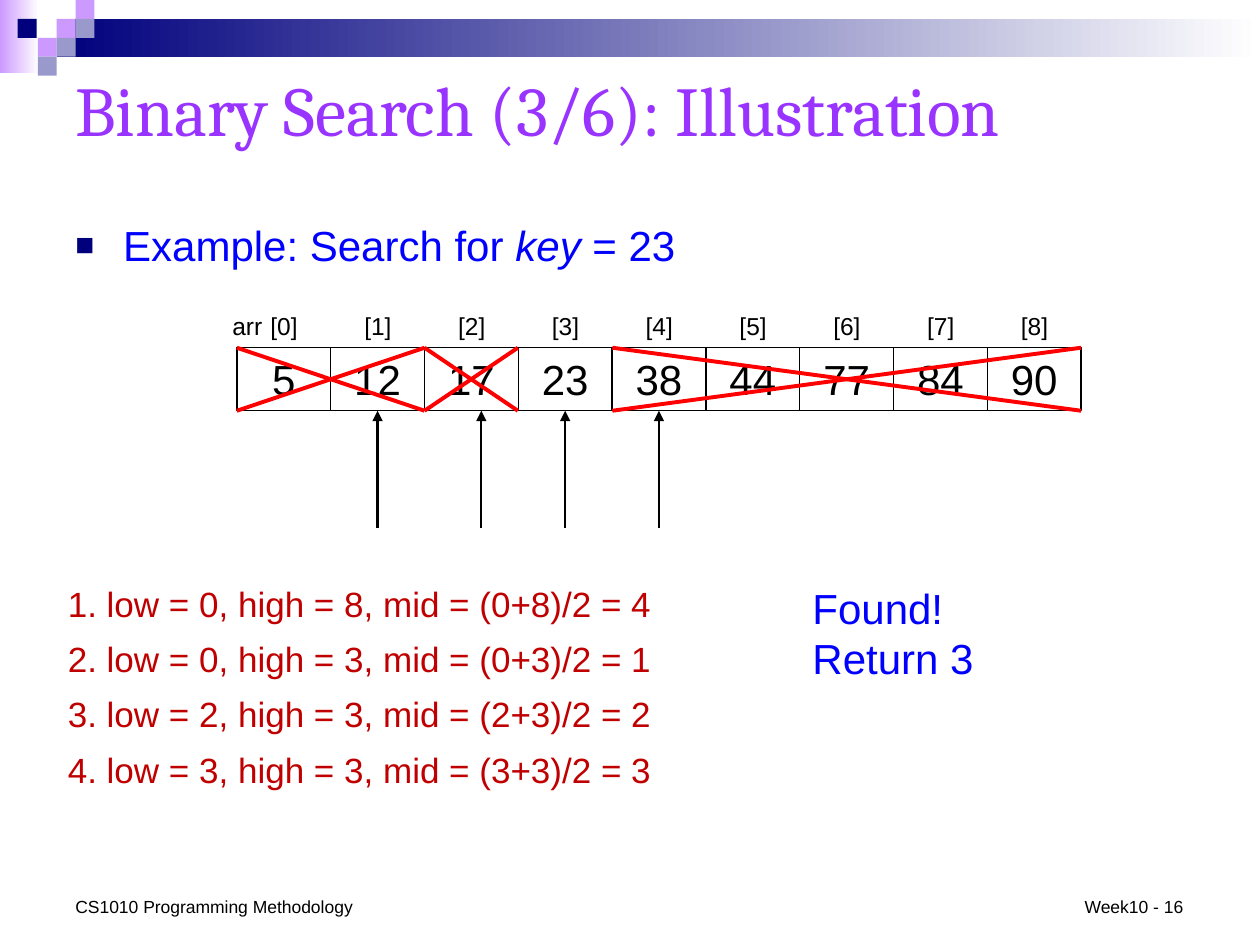
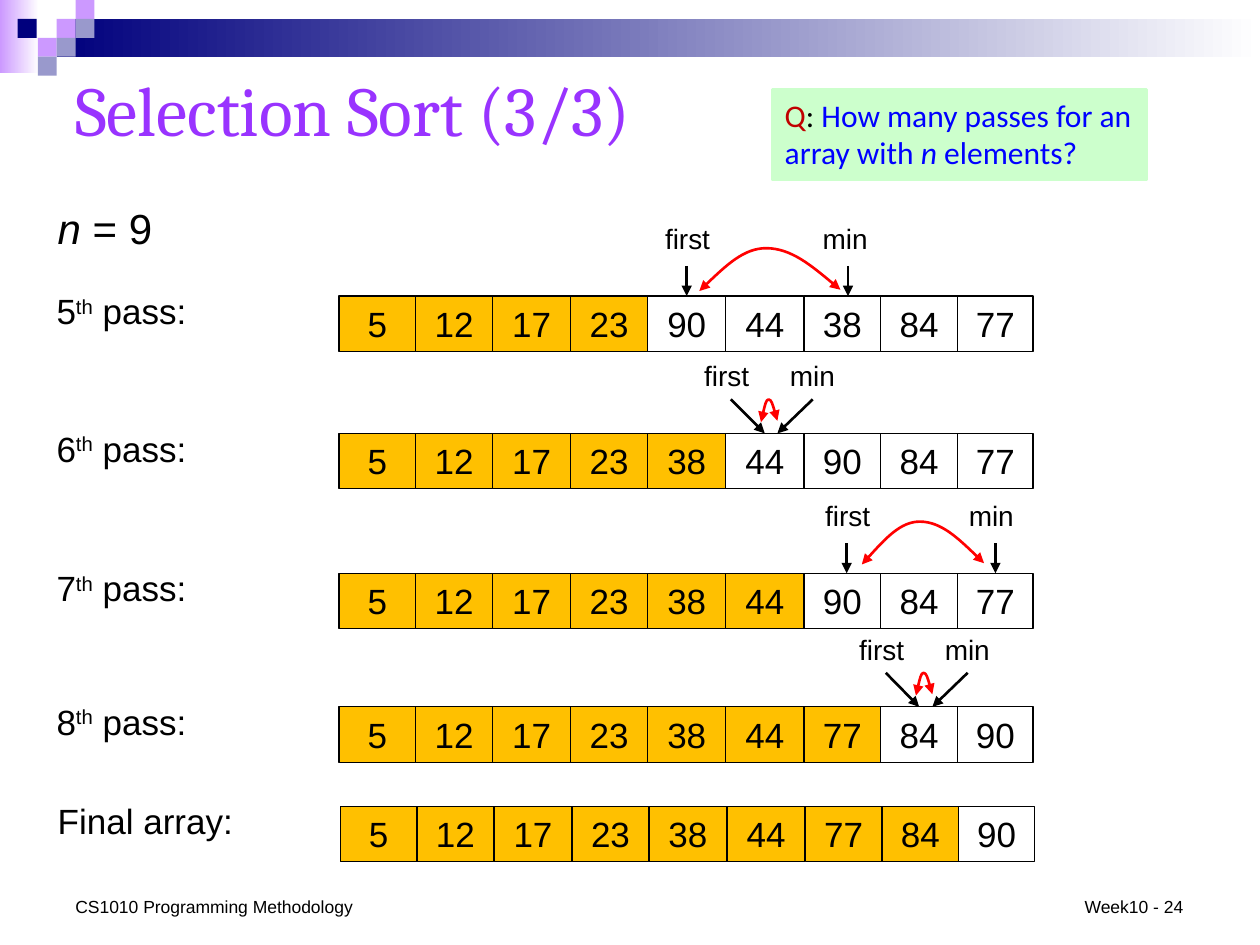
import itertools
import pptx
import pptx.dml.color
import pptx.enum.shapes
import pptx.enum.text
import pptx.oxml
import pptx.oxml.ns
import pptx.util

Inches = pptx.util.Inches
Pt = pptx.util.Pt
KINDS = pptx.enum.shapes
ALIGN = pptx.enum.text.PP_ALIGN
ANCHOR = pptx.enum.text.MSO_ANCHOR
qn = pptx.oxml.ns.qn

COLORS = {
    "black": "000000", "white": "FFFFFF", "navy": "00007D", "lilac": "CC99FF",
    "slate": "9999CC", "purple": "9933FF", "blue": "0000FF", "red": "FF0000",
    "brick": "C00000", "gold": "FFC000", "mint": "CCFFCC",
}
TILES = [
    (0.45, 0.15, "lilac"), (0.6, 0, "lilac"), (0.6, 0.15, "slate"),
    (0.3, 0.3, "lilac"), (0.14, 0.15, "navy"), (0.45, 0.3, "slate"),
    (0.3, 0.45, "slate"),
]
SEARCH_WIDTHS = [6.7 / 9] * 9
SORT_WIDTHS = [0.61, 0.61, 0.62, 0.61, 0.62, 0.62, 0.61, 0.61, 0.6]


def color(name):
    return pptx.dml.color.RGBColor.from_string(COLORS[name])


def child(parent, tag, **attrs):
    node = parent.makeelement(qn(tag), attrs)
    parent.append(node)
    return node


def write(shape, text, size=20, ink="black", font="Arial", align=ALIGN.LEFT,
          anchor=ANCHOR.TOP, wrap=True):
    """Fill a shape with a string (one paragraph a line) or a list of
    (text, format) runs; a run's format may hold ink, slant and base."""
    frame = shape.text_frame
    frame.word_wrap = wrap
    frame.vertical_anchor = anchor
    if isinstance(text, str):
        lines = [[(line, {})] for line in text.split("\n")]
    else:
        lines = [text]
    for i, line in enumerate(lines):
        para = frame.add_paragraph() if i else frame.paragraphs[0]
        para.alignment = align
        for words, style in line:
            run = para.add_run()
            run.text = words
            run.font.size = Pt(size)
            run.font.name = font
            run.font.italic = style.get("slant", False)
            run.font.color.rgb = color(style.get("ink", ink))
            if "base" in style:
                run._r.get_or_add_rPr().set("baseline", style["base"])
    return shape


def label(slide, box, text, **style):
    return write(slide.shapes.add_textbox(*map(Inches, box)), text, **style)


def block(slide, box, fill=None, line=None, width=0.75):
    """Add a rectangle; a pair of fill names makes a gradient."""
    shape = slide.shapes.add_shape(KINDS.MSO_SHAPE.RECTANGLE, *map(Inches, box))
    shape.shadow.inherit = False
    if fill is None:
        shape.fill.background()
    elif isinstance(fill, tuple):
        shape.fill.gradient()
        shape.fill.gradient_angle = 0
        for stop, name in zip(shape.fill.gradient_stops, fill):
            stop.color.rgb = color(name)
    else:
        shape.fill.solid()
        shape.fill.fore_color.rgb = color(fill)
    if line:
        shape.line.color.rgb = color(line)
        shape.line.width = Pt(width)
    else:
        shape.line.fill.background()
    return shape


def stroke(slide, start, end, ink="black", width=1.5, tip=False):
    line = slide.shapes.add_connector(
        KINDS.MSO_CONNECTOR.STRAIGHT, *map(Inches, start + end))
    line.line.color.rgb = color(ink)
    line.line.width = Pt(width)
    if tip:
        child(line.line._get_or_add_ln(), "a:tailEnd", type="triangle")
    child(line._element.spPr, "a:effectLst")
    return line


def arrow(slide, start, end, cells, site, width=1.5):
    """Draw an arrow and join it to the cell whose middle it meets."""
    for cell in cells:
        middle = (cell.left + cell.width / 2) / Inches(1)
        if abs(middle - end[0]) < 0.03:
            if start[0] == end[0]:
                start = (middle, start[1])
            line = stroke(slide, start, end, width=width, tip=True)
            line.end_connect(cell, site)
            return
    stroke(slide, start, end, width=width, tip=True)


def cross(slide, left, right, top, base):
    stroke(slide, (left, top), (right, base), "red", 2.25)
    stroke(slide, (left, base), (right, top), "red", 2.25)


def curve(slide, start, peak, end):
    """Draw a two-headed arc from start over peak to end."""
    (x0, y0), (x1, y1), (x2, y2) = start, peak, end
    rise, fall = (x1 - x0) / 3, (x2 - x1) / 3
    points = [
        (x0 + rise, (y0 + y1) / 2), (x1 - rise, y1), peak,
        (x1 + fall, y1), (x2 - fall, (y1 + y2) / 2), end,
    ]
    pen = slide.shapes.build_freeform(Inches(x0), Inches(y0))
    pen.add_line_segments([(Inches(x), Inches(y)) for x, y in points], close=False)
    shape = pen.convert_to_shape()
    shape.shadow.inherit = False
    shape.fill.background()
    shape.line.color.rgb = color("red")
    shape.line.width = Pt(1.5)
    line = shape.line._get_or_add_ln()
    child(line, "a:headEnd", type="triangle")
    child(line, "a:tailEnd", type="triangle")
    # Each three straight segments hold the points of one Bezier segment.
    steps = list(shape._element.iter(qn("a:lnTo")))
    route = steps[0].getparent()
    for i in (0, 3):
        bend = child(route, "a:cubicBezTo")
        for step in steps[i:i + 3]:
            bend.append(step[0])
            route.remove(step)


def array(slide, left, top, widths, height, values, size, done=0):
    """Draw a row of cells, the first done ones in gold; return the cells."""
    cells = []
    edges = itertools.accumulate(widths, initial=left)
    for i, (x, width, value) in enumerate(zip(edges, widths, values)):
        cell = block(slide, (x, top, width, height),
                     "gold" if i < done else None, "black")
        cells.append(write(cell, str(value), size=size, align=ALIGN.CENTER))
    return cells


def bullet(shape):
    props = shape.text_frame.paragraphs[0]._p.get_or_add_pPr()
    props.set("marL", str(Inches(0.38)))
    props.set("indent", str(-Inches(0.38)))
    child(child(props, "a:buClr"), "a:srgbClr", val=COLORS["navy"])
    child(props, "a:buSzPct", val="75000")
    child(props, "a:buFont", typeface="Arial")
    child(props, "a:buChar", char="■")


def base(deck, title, number):
    """Add a slide with the shared band, tiles, title and footers."""
    slide = deck.slides.add_slide(deck.slide_layouts[6])
    slide.background.fill.solid()
    slide.background.fill.fore_color.rgb = color("white")
    block(slide, (0, 0, 0.31, 0.58), ("lilac", "white"))
    block(slide, (0.45, 0.15, 9.55, 0.3), ("navy", "white"))
    for x, y, fill in TILES:
        block(slide, (x, y, 0.15, 0.15), fill)
    label(slide, (0.5, 0.42, 9, 0.88), title, size=40, ink="purple",
          font="Cambria", anchor=ANCHOR.MIDDLE)
    label(slide, (0.5, 7.06, 2.42, 0.27), "CS1010 Programming Methodology", size=10)
    label(slide, (8.51, 7.06, 1.01, 0.27), f"Week10 - {number}", size=10)
    return slide


def search(deck):
    slide = base(deck, "Binary Search (3/6): Illustration", 16)
    bullet(label(slide, (0.5, 1.69, 9, 0.5), [
        ("Example: Search for ", {}), ("key", {"slant": True}), (" = 23", {}),
    ], size=24, ink="blue"))

    left, top, foot = 1.88, 2.76, 3.26
    values = [5, 12, 17, 23, 38, 44, 77, 84, 90]
    cells = array(slide, left, top, SEARCH_WIDTHS, foot - top, values, 24)
    for i, x in enumerate(itertools.accumulate(SEARCH_WIDTHS[1:], initial=left)):
        label(slide, (x, 2.42, 0.75, 0.34), f"[{i}]", size=14, align=ALIGN.CENTER)
    label(slide, (1.43, 2.42, 0.75, 0.34), "arr", size=14, align=ALIGN.RIGHT)

    for x in (5.24, 3.02, 3.82, 4.5):
        arrow(slide, (x, 4.19), (x, foot), cells, 2, 1.25)
    for start, end in ((4.86, 8.58), (1.88, 3.37), (3.37, 4.11)):
        cross(slide, start, end, top, foot)

    for i, (low, high) in enumerate([(0, 8), (0, 3), (2, 3), (3, 3)]):
        label(slide, (0.44, 4.57 + 0.44 * i, 5.16, 0.44),
              f"{i + 1}. low = {low}, high = {high}, "
              f"mid = ({low}+{high})/2 = {(low + high) // 2}", ink="brick")
    label(slide, (6.35, 4.57, 1.84, 0.91), "Found!\nReturn 3", size=24, ink="blue")


def swap(slide, cells, top, first, least, arc):
    """Mark the two values to swap; first and least hold the label's left
    and the arrow's start and end x."""
    for text, (x, start, end) in (("first", first), ("min", least)):
        label(slide, (x, top - 0.64, 0.62, 0.37), text, size=16, wrap=False)
        arrow(slide, (start, top - 0.27 if start != end else top - 0.24),
              (end, top), cells, 0)
    x0, x1, x2, foot, peak = arc
    curve(slide, (x0, top - foot), (x1, top - peak), (x2, top - foot - 0.01))


def sort(deck):
    slide = base(deck, "Selection Sort (3/3)", 24)
    label(slide, (0.36, 1.56, 1.39, 0.5),
          [("n", {"slant": True}), (" = 9", {})], size=24)
    question = block(slide, (6.13, 0.71, 2.97, 0.71), "mint", "mint", 2)
    write(question, [
        ("Q", {"ink": "brick"}), (": ", {"ink": "black"}),
        ("How many passes for an array with ", {}),
        ("n", {"slant": True}), (" elements?", {}),
    ], size=18, ink="blue", font="Calibri")

    passes = [
        (2.35, [5, 12, 17, 23, 90, 44, 38, 84, 77],
         (5.18, 5.44, 5.44), (6.43, 6.73, 6.73), (5.55, 6.08, 6.67, 0.04, 0.38)),
        (3.44, [5, 12, 17, 23, 38, 44, 90, 84, 77],
         (5.49, 5.8, 6.08), (6.17, 6.45, 6.17), (6.04, 6.1, 6.17, 0.09, 0.27)),
        (4.55, [5, 12, 17, 23, 38, 44, 90, 84, 77],
         (6.45, 6.72, 6.72), (7.59, 7.89, 7.89), (6.84, 7.3, 7.81, 0.07, 0.41)),
        (5.61, [5, 12, 17, 23, 38, 44, 77, 84, 90],
         (6.72, 7.03, 7.3), (7.4, 7.68, 7.4), (7.27, 7.33, 7.4, 0.09, 0.27)),
    ]
    for turn, (top, values, first, least, arc) in enumerate(passes, 5):
        cells = array(slide, 2.69, top, SORT_WIDTHS, 0.44, values, 20, turn - 1)
        label(slide, (0.35, top - 0.1, 1.39, 0.44),
              [(str(turn), {}), ("th", {"base": "30000"}), (" pass:", {})])
        swap(slide, cells, top, first, least, arc)

    array(slide, 2.7, 6.4, SORT_WIDTHS, 0.44, passes[-1][1], 20, 8)
    label(slide, (0.36, 6.3, 1.76, 0.44), "Final array:")


def main():
    deck = pptx.Presentation()
    deck.slide_width = Inches(10)
    deck.slide_height = Inches(7.5)
    search(deck)
    sort(deck)
    deck.save("out.pptx")


if __name__ == "__main__":
    main()
